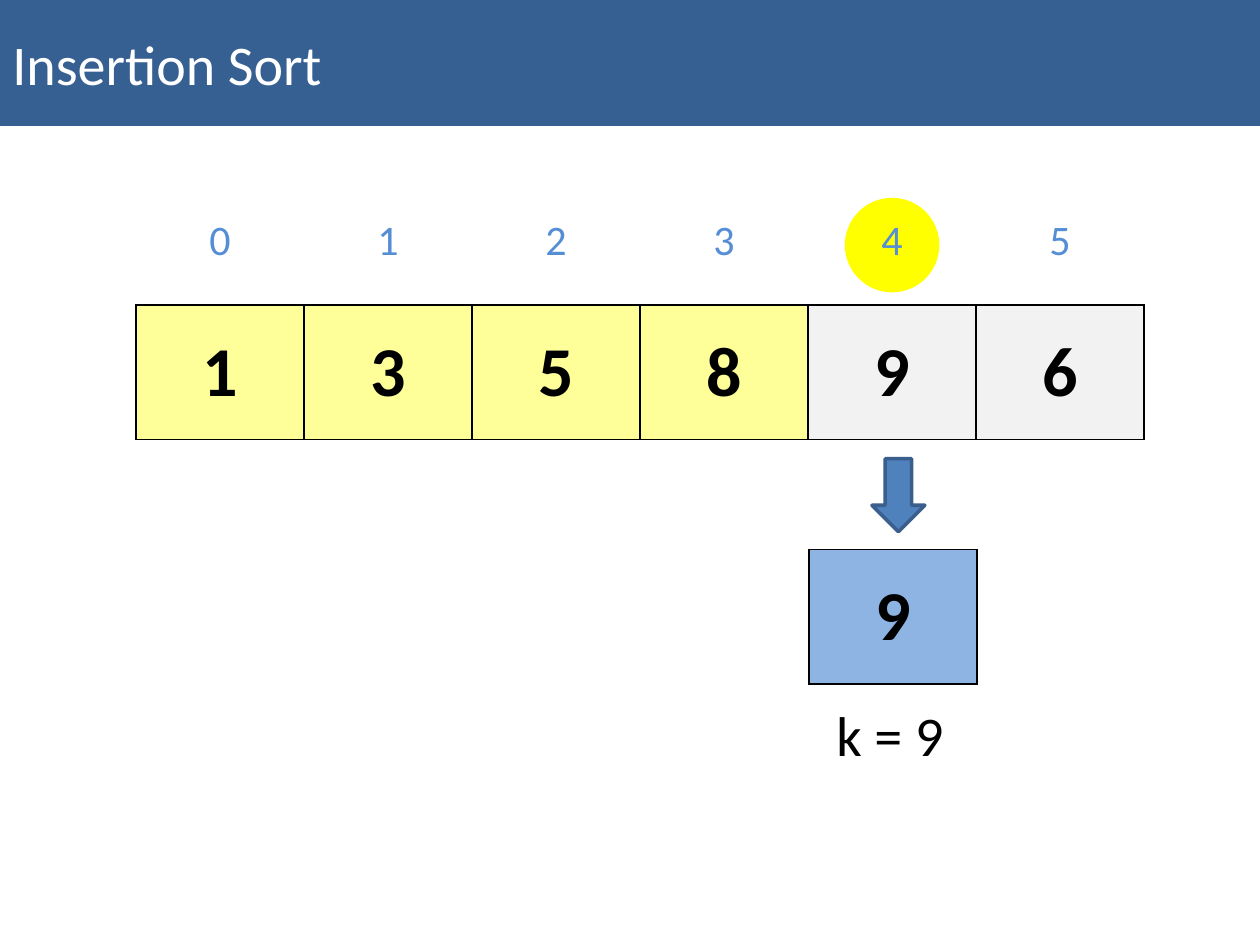
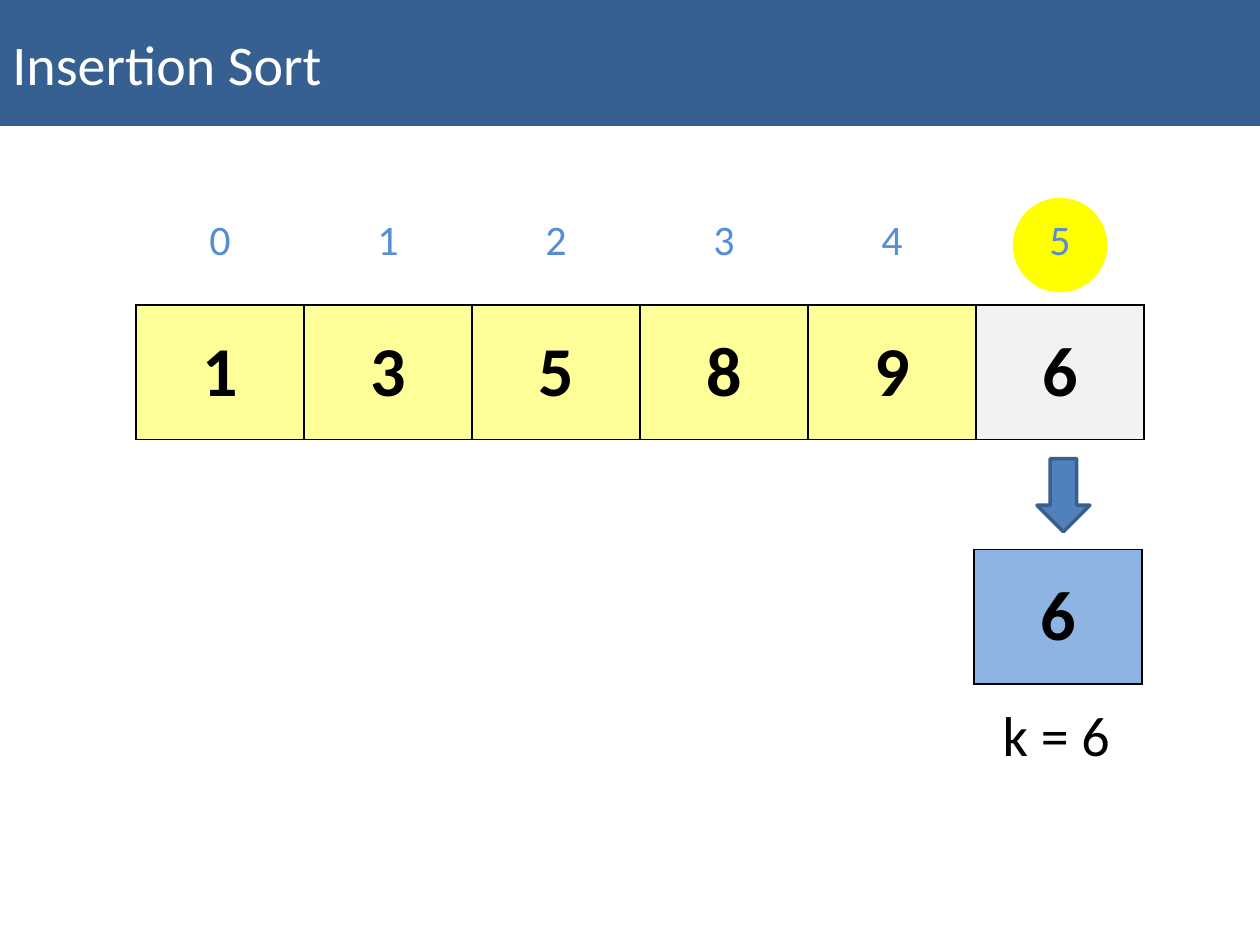
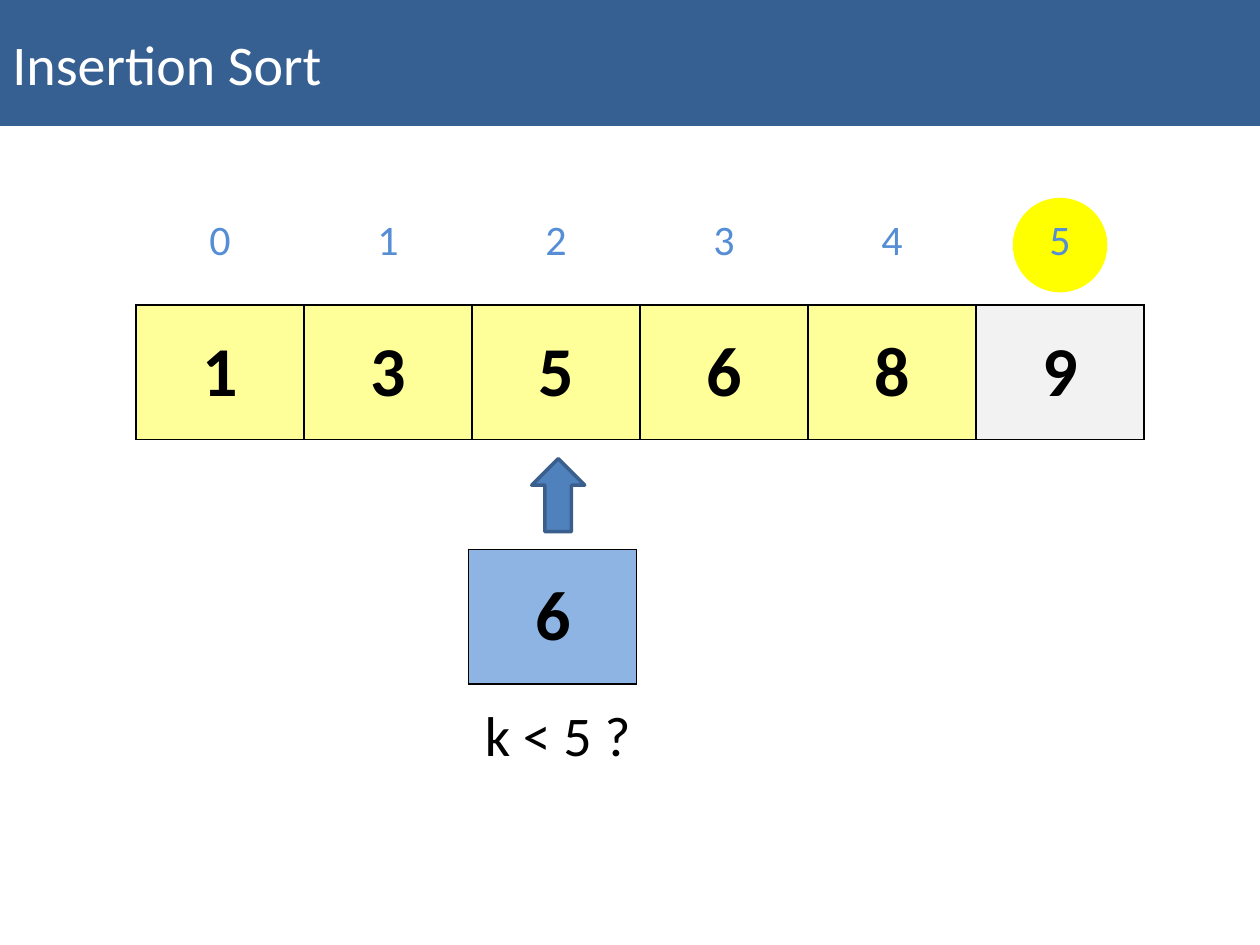
from dataclasses import dataclass

from lxml import etree
from pptx import Presentation
from pptx.dml.color import RGBColor
from pptx.enum.shapes import MSO_SHAPE
from pptx.enum.text import MSO_ANCHOR, MSO_AUTO_SIZE, PP_ALIGN
from pptx.oxml.ns import qn
from pptx.util import Inches, Pt

RECT = MSO_SHAPE.RECTANGLE
OVAL = MSO_SHAPE.OVAL
ARROW = MSO_SHAPE.DOWN_ARROW
MIDDLE = MSO_ANCHOR.MIDDLE
LEFT = PP_ALIGN.LEFT
CENTER = PP_ALIGN.CENTER
GROW = MSO_AUTO_SIZE.SHAPE_TO_FIT_TEXT


@dataclass(frozen=True)
class Theme:
    font: str = "Calibri"
    band: str = "376092"
    white: str = "FFFFFF"
    black: str = "000000"
    mark: str = "FFFF00"
    done: str = "FFFF99"
    rest: str = "F2F2F2"
    key: str = "8EB4E3"
    index: str = "558ED5"
    arrow: str = "4F81BD"
    edge: str = "3A5F8C"
    small: int = 24
    large: int = 32
    huge: int = 40


COUNT = 6
GRID = 1.08
CELL = 8 / COUNT
TALL = 1.07
DOT = 0.75


def write(frame, text, *, font, size, color, bold=False, align=LEFT):
    para = frame.paragraphs[0]
    para.alignment = align
    run = para.add_run()
    run.text = text
    run.font.name = font
    run.font.size = Pt(size)
    run.font.bold = bold
    run.font.color.rgb = RGBColor.from_string(color)


def border(cell, color):
    props = cell._tc.get_or_add_tcPr()
    for side in ("a:lnL", "a:lnR", "a:lnT", "a:lnB"):
        line = etree.SubElement(props, qn(side), w=str(Pt(1)))
        if color:
            fill = etree.SubElement(line, qn("a:solidFill"))
            etree.SubElement(fill, qn("a:srgbClr"), val=color)
        else:
            etree.SubElement(line, qn("a:noFill"))


class Deck:
    def __init__(self, theme):
        self.theme = theme
        self.file = Presentation()
        self.file.slide_width = Inches(10)
        self.file.slide_height = Inches(7.5)
        self.slide = None

    def start(self):
        self.slide = self.file.slides.add_slide(self.file.slide_layouts[6])

    def shape(self, kind, left, top, width, height, fill, edge=None):
        shape = self.slide.shapes.add_shape(
            kind, Inches(left), Inches(top), Inches(width), Inches(height))
        shape.shadow.inherit = False
        shape.fill.solid()
        shape.fill.fore_color.rgb = RGBColor.from_string(fill)
        if edge:
            shape.line.color.rgb = RGBColor.from_string(edge)
            shape.line.width = Pt(2)
        else:
            shape.line.fill.background()
        return shape

    def title(self, text):
        look = self.theme
        band = self.shape(RECT, 0, 0, 10, 1, look.band)
        band.text_frame.vertical_anchor = MIDDLE
        write(band.text_frame, text, font=look.font, size=look.large, color=look.white)

    def table(self, left, top, height, items, fills, *, size, color, bold=False, edge=None):
        grid = self.slide.shapes.add_table(
            1, len(items), Inches(left), Inches(top),
            Inches(CELL * len(items)), Inches(height)).table
        grid.first_row = False
        grid.horz_banding = False
        for cell, item, fill in zip(grid.rows[0].cells, items, fills):
            border(cell, edge)
            if fill:
                cell.fill.solid()
                cell.fill.fore_color.rgb = RGBColor.from_string(fill)
            else:
                cell.fill.background()
            cell.vertical_anchor = MIDDLE
            write(cell.text_frame, str(item), font=self.theme.font,
                  size=size, color=color, bold=bold, align=CENTER)

    def boxes(self, left, top, items, fills):
        look = self.theme
        self.table(left, top, TALL, items, fills, size=look.huge,
                   color=look.black, bold=True, edge=look.black)

    def label(self, left, width, text):
        look = self.theme
        box = self.slide.shapes.add_textbox(
            Inches(left), Inches(5.51), Inches(width), Inches(0.64))
        box.text_frame.word_wrap = True
        box.text_frame.auto_size = GROW
        write(box.text_frame, text, font=look.font, size=look.large, color=look.black)

    def step(self, items, mark, key, left, note, shift, width, turn=0):
        look = self.theme
        self.start()
        self.shape(OVAL, GRID + mark * CELL + (CELL - DOT) / 2, 1.57, DOT, DOT, look.mark)
        self.title("Insertion Sort")
        fills = [look.done] * mark + [look.rest] * (COUNT - mark)
        self.boxes(GRID, 2.42, items, fills)
        self.table(GRID, 1.58, 0.67, range(COUNT), [None] * COUNT,
                   size=look.small, color=look.index)
        self.boxes(left, 4.36, [key], [look.key])
        self.label(left + shift, width, note)
        arrow = self.shape(ARROW, left + 0.5, 3.64, 0.42, 0.58, look.arrow, look.edge)
        arrow.rotation = turn


def main():
    deck = Deck(Theme())
    deck.step([1, 3, 5, 8, 9, 6], 4, 9, 6.42, "k = 9", 0.12, 3.3)
    deck.step([1, 3, 5, 8, 9, 6], 5, 6, 7.73, "k = 6", 0.13, 2.14)
    deck.step([1, 3, 5, 6, 8, 9], 5, 6, 3.72, "k < 5 ?", 0.03, 4, turn=180)
    deck.file.save("out.pptx")


if __name__ == "__main__":
    main()
